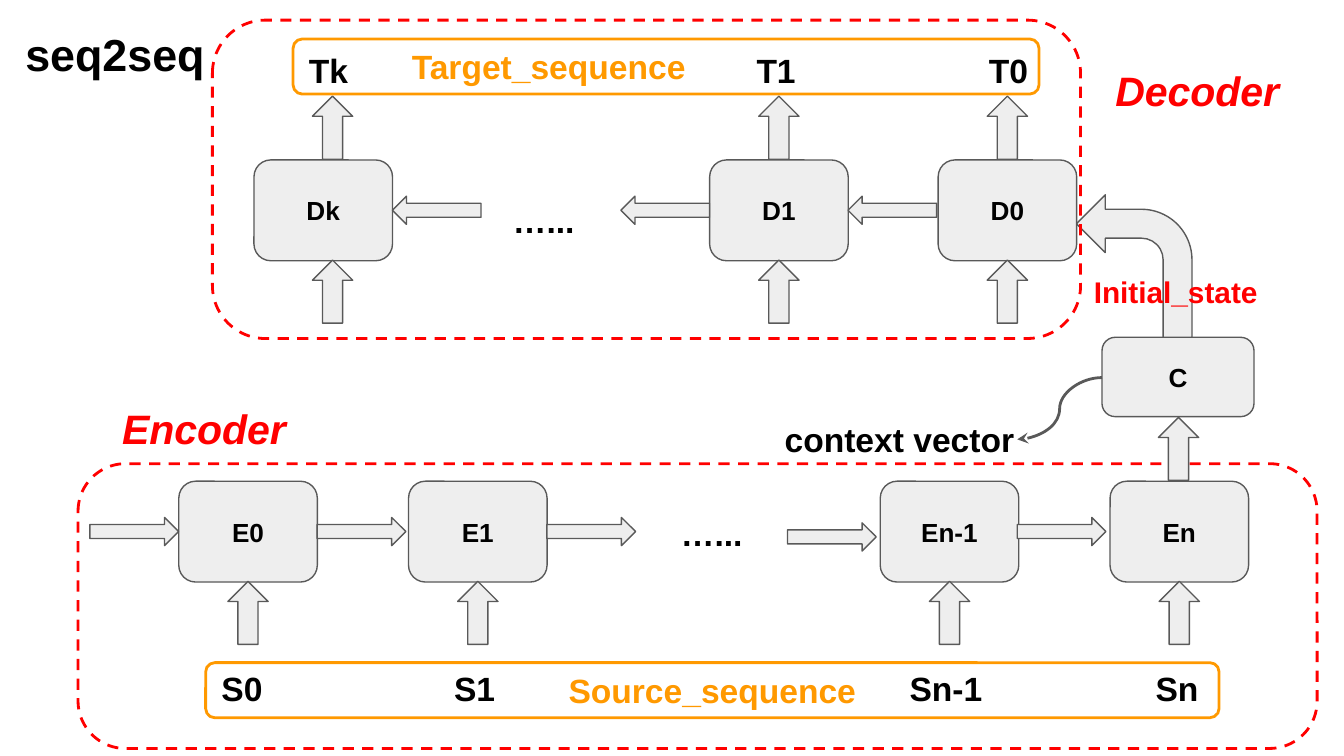
"""Builds the seq2seq encoder and decoder diagram slide."""
from lxml import etree
from pptx import Presentation, util as u
from pptx.dml.color import RGBColor
from pptx.enum import dml, shapes, text
from pptx.oxml import ns

BLACK = RGBColor(0x00, 0x00, 0x00)
RED = RGBColor(0xFF, 0x00, 0x00)
ORANGE = RGBColor(0xFF, 0x99, 0x00)
PALE = RGBColor(0xEE, 0xEE, 0xEE)
GREY = RGBColor(0x59, 0x59, 0x59)

CELL_WIDTH, CELL_HEIGHT = 74.2, 54
FLOW_WIDTH, FLOW_HEIGHT = 47.5, 15.1
RISE_LENGTH, RISE_BREADTH = 33.8, 21.6
INSET = 7.2
KIND = shapes.MSO_SHAPE
LEFT, CENTER = text.PP_ALIGN.LEFT, text.PP_ALIGN.CENTER


class Diagram:
    def __init__(self, page):
        self.page = page
        self.font = {"name": "Arial", "bold": True}

    def add_words(self, box, words, size, color=BLACK, align=LEFT,
                  anchor=text.MSO_ANCHOR.TOP, indent=0, italic=False):
        frame = box.text_frame
        layout = {"word_wrap": True, "vertical_anchor": anchor,
                  "margin_left": u.Pt(INSET + indent), "margin_right": u.Pt(INSET),
                  "margin_top": u.Pt(INSET), "margin_bottom": u.Pt(INSET)}
        for name, value in layout.items():
            setattr(frame, name, value)
        para = frame.paragraphs[0]
        para.alignment = align
        span = para.add_run()
        span.text = words
        for name, value in {**self.font, "size": u.Pt(size), "italic": italic}.items():
            setattr(span.font, name, value)
        span.font.color.rgb = color

    def label(self, words, left, top, width, height, size=18, **style):
        box = self.page.shapes.add_textbox(u.Pt(left), u.Pt(top), u.Pt(width), u.Pt(height))
        self.add_words(box, words, size, **style)

    def shape(self, kind, left, top, width, height, fill=PALE, line=GREY, weight=0.75):
        box = self.page.shapes.add_shape(kind, u.Pt(left), u.Pt(top), u.Pt(width), u.Pt(height))
        box.shadow.inherit = False
        if fill is None:
            box.fill.background()
        else:
            box.fill.solid()
            box.fill.fore_color.rgb = fill
        box.line.color.rgb = line
        box.line.width = u.Pt(weight)
        return box

    def cell(self, words, left, top, width=CELL_WIDTH, height=CELL_HEIGHT):
        box = self.shape(KIND.ROUNDED_RECTANGLE, left, top, width, height)
        self.add_words(box, words, 14, align=CENTER, anchor=text.MSO_ANCHOR.MIDDLE)

    def flow(self, left, top, rotation=0):
        arrow = self.shape(KIND.RIGHT_ARROW, left, top, FLOW_WIDTH, FLOW_HEIGHT)
        arrow.rotation = rotation

    def rise(self, center, top):
        arrow = self.shape(KIND.RIGHT_ARROW, center - RISE_LENGTH / 2, top,
                           RISE_LENGTH, RISE_BREADTH)
        arrow.rotation = 270

    def bend(self, left, top, width, height):
        arrow = self.shape(KIND.BENT_ARROW, left, top, width, height)
        arrow.element.spPr.find(ns.qn("a:xfrm")).set("flipH", "1")

    def sequence(self, words, left, top, width, height, **style):
        box = self.shape(KIND.ROUNDED_RECTANGLE, left, top, width, height, None, ORANGE, 1.5)
        self.add_words(box, words, 18, color=ORANGE, anchor=text.MSO_ANCHOR.MIDDLE, **style)

    def frame(self, left, top, width, height):
        box = self.shape(KIND.ROUNDED_RECTANGLE, left, top, width, height, None, RED, 1.5)
        box.line.dash_style = dml.MSO_LINE.DASH

    def curve(self, *ends):
        link = self.page.shapes.add_connector(shapes.MSO_CONNECTOR.CURVE, *map(u.Pt, ends))
        link.line.color.rgb = GREY
        link.line.width = u.Pt(1.5)
        properties = link.element.spPr
        etree.SubElement(properties.find(ns.qn("a:ln")), ns.qn("a:tailEnd"), type="stealth")
        etree.SubElement(properties, ns.qn("a:effectLst"))


def draw_encoder(diagram):
    top = 257.8
    cells = [("E0", "S0", 95.8, 111.6, 38.9), ("E1", "S1", 218.9, 236.2, 38.9),
             ("En-1", "Sn-1", 471.6, 480.2, 56.2), ("En", "Sn", 594.7, 612, 38.9)]
    for name, source, left, label_left, label_width in cells:
        diagram.cell(name, left, top)
        diagram.rise(left + CELL_WIDTH / 2, 317.5)
        diagram.label(source, label_left, 350.6, label_width, 38.2)
    for left in (48.2, 169.9, 293, 545):
        diagram.flow(left, 277.2)
    diagram.flow(421.9, 280.1)
    diagram.label("…...", 340.6, 267.8, 81.4, 24.5, align=CENTER)
    diagram.sequence("Source_sequence", 110.2, 355, 542.9, 29.5, align=CENTER)
    diagram.frame(41.8, 248.4, 663.8, 152.6)
    diagram.label("Encoder", 58.3, 208.8, 105.1, 33.1, 22, color=RED, italic=True)


def draw_context(diagram):
    diagram.rise(631.4, 229.7)
    diagram.cell("C", 590.4, 180.7, 81.4, 42.5)
    diagram.label("context vector", 413.3, 217.4, 141.1, 24.5)
    diagram.curve(590.4, 202.3, 545, 235.4)
    diagram.bend(576.7, 104.4, 61.9, 76.3)
    diagram.label("Initial_state", 578.9, 139.7, 105.1, 24.5, 16, color=RED)


def draw_decoder(diagram):
    top = 85.7
    cells = [("Dk", "Tk", 136.1, 178.2, 158.4), ("D1", "T1", 380.2, 417.3, 398.2),
             ("D0", "T0", 502.6, 539.7, 522.7)]
    for name, target, left, center, label_left in cells:
        diagram.cell(name, left, top)
        for rise_top in (57.6, 145.4):
            diagram.rise(center, rise_top)
        diagram.label(target, label_left, 19.4, 38.9, 24.5)
    for left in (210.2, 332.6, 454.3):
        diagram.flow(left, 105.1, 180)
    diagram.label("…...", 250.6, 100.1, 81.4, 24.5, align=CENTER)
    diagram.sequence("Target_sequence", 157, 20.9, 399.6, 29.5, indent=55)
    diagram.frame(113.8, 10.8, 465.1, 170.6)
    diagram.label("Decoder", 590.4, 28.1, 105.1, 33.1, 22, color=RED, italic=True)


def main():
    deck = Presentation()
    deck.slide_width, deck.slide_height = u.Pt(720), u.Pt(405)
    diagram = Diagram(deck.slides.add_slide(deck.slide_layouts[6]))
    diagram.label("seq2seq", 6.5, 7.2, 115.2, 38.2, 24)
    draw_encoder(diagram)
    draw_context(diagram)
    draw_decoder(diagram)
    deck.save("out.pptx")


if __name__ == "__main__":
    main()
